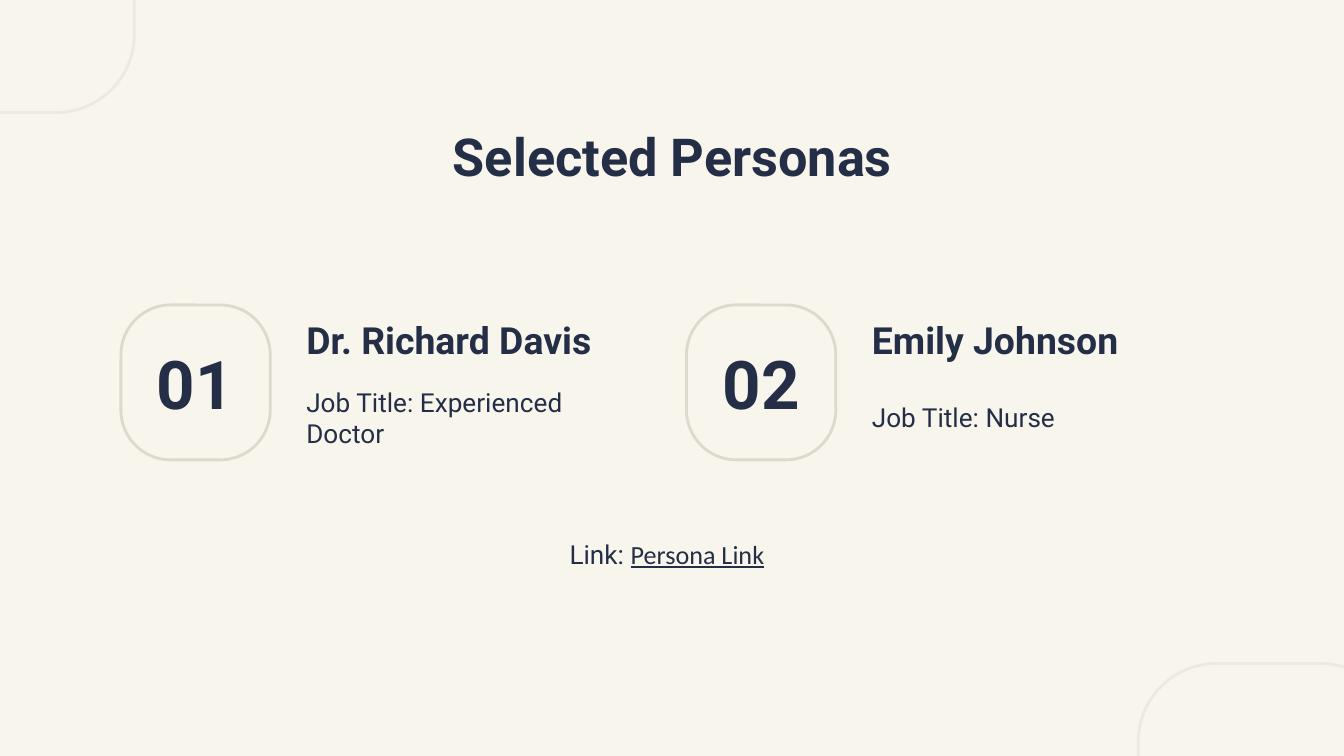
from pptx import Presentation
from pptx.dml.color import RGBColor
from pptx.enum.shapes import MSO_SHAPE
from pptx.enum.text import MSO_ANCHOR, PP_ALIGN
from pptx.util import Pt

ROUNDED = MSO_SHAPE.ROUNDED_RECTANGLE
TOP, MIDDLE = MSO_ANCHOR.TOP, MSO_ANCHOR.MIDDLE
LEFT, CENTER = PP_ALIGN.LEFT, PP_ALIGN.CENTER

COLORS = {"paper": "F8F5EC", "ink": "252E47", "badge": "DADACE", "corner": "ECE9E1"}
INSET = 7.2
PERSONAS = [
    ("01", "Dr. Richard Davis", "Job Title: Experienced Doctor"),
    ("02", "Emily Johnson", "Job Title: Nurse"),
]


def color(name):
    return RGBColor.from_string(COLORS[name])


def add_outline(slide, box, line, radius):
    outline = slide.shapes.add_shape(ROUNDED, *map(Pt, box))
    outline.adjustments[0] = radius
    outline.shadow.inherit = False
    outline.fill.background()
    outline.line.color.rgb = color(line)
    outline.line.width = Pt(1.5)
    return outline


def set_frame(frame, align, anchor=MIDDLE, inset=INSET, top=INSET):
    frame.word_wrap = True
    frame.vertical_anchor = anchor
    frame.margin_left = frame.margin_right = frame.margin_bottom = Pt(inset)
    frame.margin_top = Pt(top)
    paragraph = frame.paragraphs[0]
    paragraph.alignment = align
    return paragraph


def add_run(paragraph, words, size, bold=False, font="Roboto", underline=False):
    run = paragraph.add_run()
    run.text = words
    run.font.name = font
    run.font.size = Pt(size)
    run.font.bold = bold
    run.font.underline = underline
    run.font.color.rgb = color("ink")


def add_text(slide, box, words, size, bold=False, align=LEFT):
    frame = slide.shapes.add_textbox(*map(Pt, box)).text_frame
    add_run(set_frame(frame, align), words, size, bold)


def add_corners(slide, width, height):
    for left, top in ((-67.7, -106.6), (width - 110.2, height - 49.5)):
        add_outline(slide, (left, top, 139.7, 166.9), "corner", 0.3)


def add_persona(slide, box, number, name, job):
    left, top, width, height = box
    badge = add_outline(slide, (left, top, 80, height), "badge", 0.334)
    add_run(set_frame(badge.text_frame, CENTER, inset=0, top=0), number, 36, True)
    text_left, text_width, row = left + 92.2, width - 92.2, height / 2
    add_text(slide, (text_left, top - 2, text_width, row), name, 20, True)
    add_text(slide, (text_left, top + row - 2, text_width, row), job, 14)


def add_link(slide, box):
    frame = slide.shapes.add_textbox(*map(Pt, box)).text_frame
    line = set_frame(frame, LEFT, anchor=TOP, top=4.5)
    add_run(line, "Link: ", 14)
    add_run(line, "Persona Link", 14, font="Calibri", underline=True)


def main():
    width, height = 720, 405
    deck = Presentation()
    deck.slide_width, deck.slide_height = Pt(width), Pt(height)
    slide = deck.slides.add_slide(deck.slide_layouts[6])
    slide.background.fill.solid()
    slide.background.fill.fore_color.rgb = color("paper")

    add_corners(slide, width, height)
    add_text(slide, (56.7, 60.5, 607, 45.4), "Selected Personas", 28, True, CENTER)
    for index, persona in enumerate(PERSONAS):
        add_persona(slide, (64.8 + 303 * index, 163.4, 273.6, 83), *persona)
    add_link(slide, (298, 283.7, 123.8, 41.8))
    deck.save("out.pptx")


if __name__ == "__main__":
    main()
